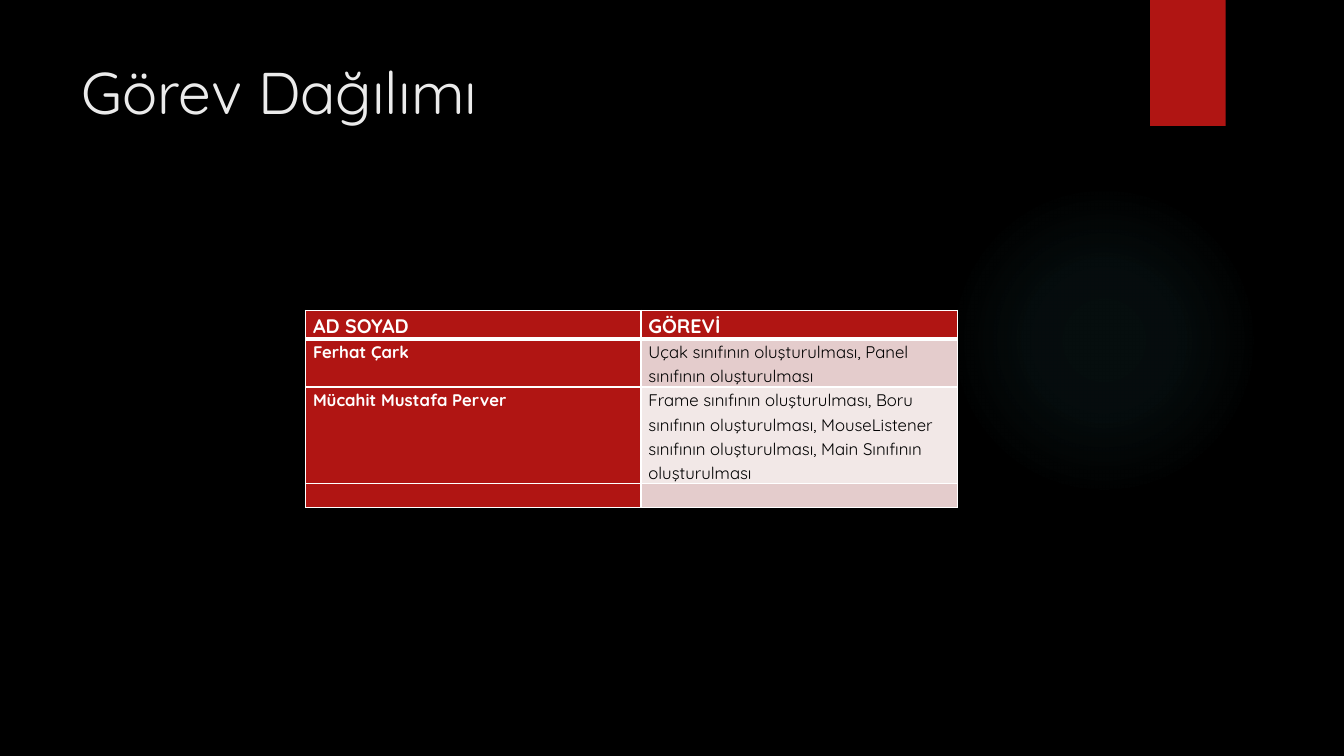
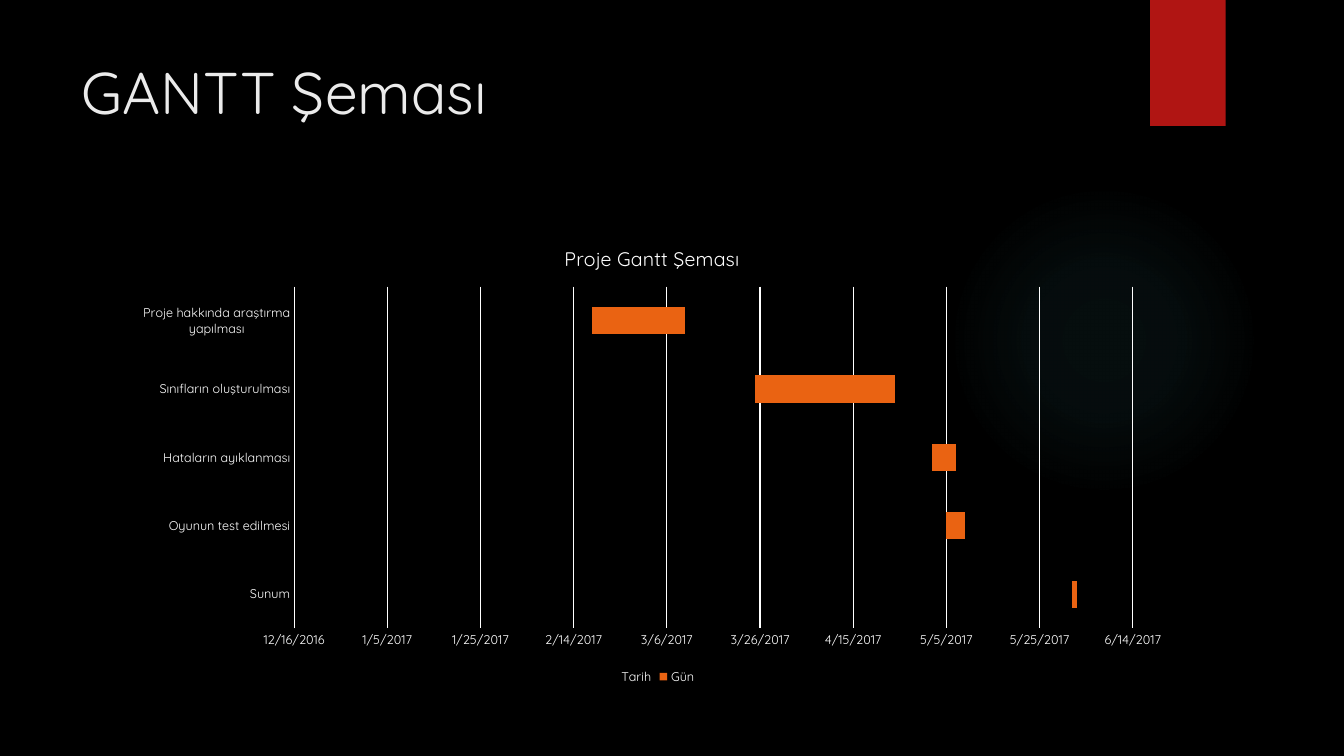
import pptx
import pptx.chart.data
import pptx.dml.color
import pptx.enum.chart
import pptx.enum.shapes
import pptx.enum.text
import pptx.oxml
import pptx.oxml.ns
import pptx.util

Pt = pptx.util.Pt
FONT = "Quicksand"
COLORS = {
    "background": "000000",
    "text": "FFFFFF",
    "title": "EBEBEB",
    "accent": "B01513",
    "glow": "50B9C1",
    "bar": "EA6312",
    "dark": "000000",
    "odd_row": "E4CCCC",
    "even_row": "F2E8E7",
}
GLOW_STOPS = [(0, 7), (36, 6), (69, 0)]
TASK_ROWS = [
    ("AD SOYAD", "GÖREVİ"),
    ("Ferhat Çark", "Uçak sınıfının oluşturulması, Panel sınıfının oluşturulması"),
    (
        "Mücahit Mustafa Perver",
        "Frame sınıfının oluşturulması, Boru sınıfının oluşturulması, "
        "MouseListener sınıfının oluşturulması, Main Sınıfının oluşturulması",
    ),
    ("", ""),
]
GANTT_TASKS = [
    ("Sunum", 42887, 1),
    ("Oyunun test edilmesi", 42860, 4),
    ("Hataların ayıklanması", 42857, 5),
    ("Sınıfların oluşturulması", 42819, 30),
    ("Proje hakkında araştırma yapılması", 42784, 20),
]


def rgb(name):
    return pptx.dml.color.RGBColor.from_string(COLORS[name])


def style_font(font, size, color, bold=False):
    font.name = FONT
    font.size = Pt(size)
    font.bold = bold
    font.color.rgb = rgb(color)


class Deck:
    def __init__(self):
        self.presentation = pptx.Presentation()
        self.presentation.slide_width = Pt(960)
        self.presentation.slide_height = Pt(540)
        self.layout = self.presentation.slide_layouts[5]
        self.layout.background.fill.solid()
        self.layout.background.fill.fore_color.rgb = rgb("background")
        for placeholder in list(self.layout.placeholders)[1:]:
            self.layout.shapes.element.remove(placeholder.element)
        self.slide = None

    def add_slide(self, title):
        first = self.slide is None
        self.slide = self.presentation.slides.add_slide(self.layout)
        if first:
            self.decorate_layout()
        shape = self.slide.shapes.title
        shape.left, shape.top, shape.width, shape.height = Pt(51), Pt(36), Pt(741), Pt(110)
        frame = shape.text_frame
        frame.text = title
        frame.vertical_anchor = pptx.enum.text.MSO_ANCHOR.TOP
        frame.auto_size = pptx.enum.text.MSO_AUTO_SIZE.NONE
        paragraph = frame.paragraphs[0]
        paragraph.alignment = pptx.enum.text.PP_ALIGN.LEFT
        style_font(paragraph.font, 42, "title")

    def decorate_layout(self):
        kinds = pptx.enum.shapes.MSO_SHAPE
        glow = self.add_shape(kinds.OVAL, 677.5, 131.8, 221.8, 221.8)
        stops = "".join(
            f'<a:gs pos="{position * 1000}"><a:srgbClr val="{COLORS["glow"]}">'
            f'<a:alpha val="{alpha * 1000}"/></a:srgbClr></a:gs>'
            for position, alpha in GLOW_STOPS
        )
        gradient = pptx.oxml.parse_xml(
            f'<a:gradFill {pptx.oxml.ns.nsdecls("a")}><a:gsLst>{stops}</a:gsLst>'
            '<a:path path="circle"><a:fillToRect l="50000" t="50000" r="50000" b="50000"/>'
            "</a:path></a:gradFill>"
        )
        properties = glow.element.spPr
        properties.replace(properties.find(pptx.oxml.ns.qn("a:solidFill")), gradient)
        band = self.add_shape(kinds.RECTANGLE, 821.5, 0, 54, 90)
        for index, shape in enumerate((glow, band), start=2):
            self.layout.shapes.element.insert(index, shape.element)

    def add_shape(self, kind, left, top, width, height):
        shape = self.slide.shapes.add_shape(kind, Pt(left), Pt(top), Pt(width), Pt(height))
        shape.shadow.inherit = False
        shape.fill.solid()
        shape.fill.fore_color.rgb = rgb("accent")
        shape.line.fill.background()
        return shape

    def add_table(self, rows, left, top, widths, heights):
        table = self.slide.shapes.add_table(
            len(rows), len(widths), Pt(left), Pt(top), Pt(sum(widths)), Pt(sum(heights))
        ).table
        for column, width in zip(table.columns, widths):
            column.width = Pt(width)
        for row, height in zip(table.rows, heights):
            row.height = Pt(height)
        for row_index, texts in enumerate(rows):
            for column_index, text in enumerate(texts):
                self.fill_cell(table.cell(row_index, column_index), text, row_index, column_index)

    def fill_cell(self, cell, text, row_index, column_index):
        header = row_index == 0
        heading = header or column_index == 0
        cell.margin_left = cell.margin_right = Pt(5.4)
        cell.margin_top = cell.margin_bottom = Pt(0)
        borders = {"L": 1, "R": 1, "T": 3 if row_index == 1 else 1, "B": 3 if header else 1}
        properties = cell._tc.get_or_add_tcPr()
        for side, width in borders.items():
            properties.append(pptx.oxml.parse_xml(
                f'<a:ln{side} {pptx.oxml.ns.nsdecls("a")} w="{Pt(width)}"><a:solidFill>'
                f'<a:srgbClr val="{COLORS["text"]}"/></a:solidFill></a:ln{side}>'
            ))
        cell.fill.solid()
        band = "odd_row" if row_index % 2 else "even_row"
        if row_index == len(TASK_ROWS) - 1:
            band = "odd_row"
        cell.fill.fore_color.rgb = rgb("accent" if heading else band)
        cell.text = text
        paragraph = cell.text_frame.paragraphs[0]
        paragraph.line_spacing = 1.15
        paragraph.space_after = Pt(10)
        style_font(paragraph.font, 14 if header else 12, "text" if heading else "dark", heading)

    def add_gantt(self, title, tasks, left, top, width, height):
        names, starts, days = zip(*tasks)
        data = pptx.chart.data.CategoryChartData()
        data.categories = names
        data.add_series("Tarih", starts)
        data.add_series("Gün", days)
        chart = self.slide.shapes.add_chart(
            pptx.enum.chart.XL_CHART_TYPE.BAR_STACKED,
            Pt(left), Pt(top), Pt(width), Pt(height), data,
        ).chart
        style_font(chart.font, 10, "text")
        chart.has_title = True
        chart.chart_title.include_in_layout = False
        chart.chart_title.text_frame.text = title
        style_font(chart.chart_title.text_frame.paragraphs[0].font, 14, "text")
        chart.has_legend = True
        chart.legend.position = pptx.enum.chart.XL_LEGEND_POSITION.BOTTOM
        chart.legend.include_in_layout = False
        style_font(chart.legend.font, 9, "text")

        plot = chart.plots[0]
        plot.gap_width = 150
        plot.overlap = 100
        plot.vary_by_categories = False
        start_series, day_series = plot.series
        start_series.format.fill.background()
        start_series.format.line.fill.background()
        day_series.format.fill.solid()
        day_series.format.fill.fore_color.rgb = rgb("bar")

        dates = chart.value_axis
        dates.minimum_scale, dates.maximum_scale, dates.major_unit = 42720, 42900, 20
        dates.tick_labels.number_format = "m/d/yyyy"
        dates.tick_labels.number_format_is_linked = False
        dates.format.line.fill.background()
        for axis in (chart.category_axis, dates):
            axis.major_tick_mark = pptx.enum.chart.XL_TICK_MARK.NONE
            axis.minor_tick_mark = pptx.enum.chart.XL_TICK_MARK.NONE
            style_font(axis.tick_labels.font, 9, "text")
        for line in (chart.category_axis.format.line, dates.major_gridlines.format.line):
            line.color.rgb = rgb("text")
            line.width = Pt(0.75)


def main():
    deck = Deck()
    deck.add_slide("Görev Dağılımı")
    deck.add_table(TASK_ROWS, 218.2, 221.8, [239.6, 226.4], [20, 34.5, 69, 17.25])
    deck.add_slide("GANTT Şeması")
    deck.add_gantt("Proje Gantt Şeması", GANTT_TASKS, 87.1, 161.3, 757.4, 330.5)
    deck.presentation.save("out.pptx")


if __name__ == "__main__":
    main()
